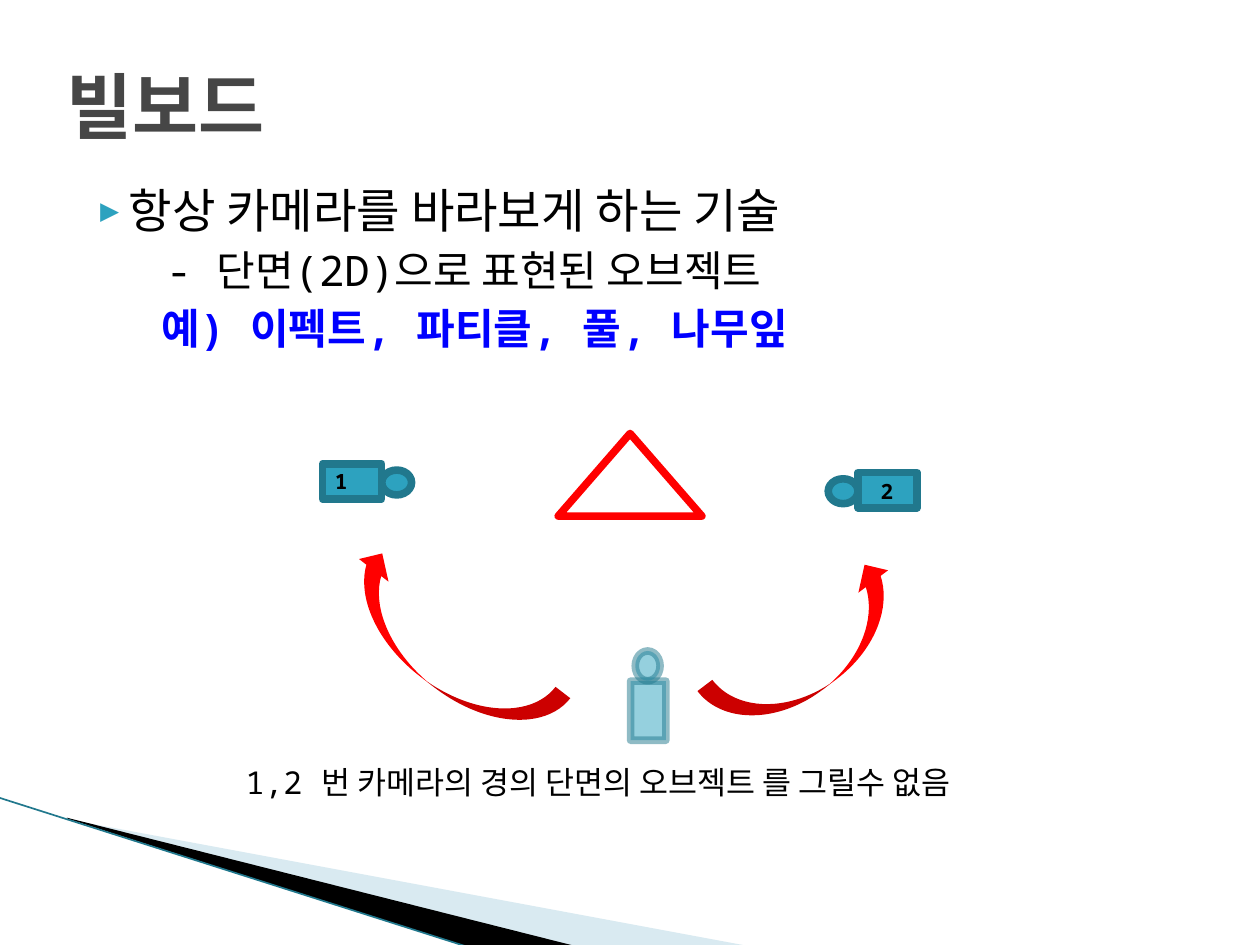
from lxml.etree import SubElement
from pptx import Presentation
from pptx.dml.color import RGBColor
from pptx.enum.shapes import MSO_CONNECTOR as Connector, MSO_SHAPE as Shape
from pptx.enum.text import MSO_ANCHOR as Anchor
from pptx.oxml.ns import qn
from pptx.util import Pt

FONT = "Noto Sans Mono"
TEAL, DARK_TEAL, RED, BLACK = "2DA2BF", "21788D", "FF0000", "000000"
OUTLINE = 4.33

SWOOSHES = [
    ([(39.6, 468.4), (428.4, 540.7), (328.3, 540.7), (39.6, 468)], "A0CBDC", 40),
    ([(38.2, 467.3), (329, 540.7), (267.8, 541.4), (38.9, 468)], BLACK, 100),
]
EDGE = (0, 456, 267, 541)

BODY = [
    ("항상 카메라를 바라보게 하는 기술", 27, BLACK, False, 28.8, -20.2),
    ("- 단면(2D)으로 표현된 오브젝트", 24, BLACK, False, 52, 0),
    ("예) 이펙트, 파티클, 풀, 나무잎", 24, "0000FF", True, 49, 0),
]
CAMERAS = [
    ((184.3, 265, 33.8, 20.2), (218.2, 268.6, 17, 14.2), 0, 100),
    ((353.5, 396, 33.8, 20.2), (361.6, 373.4, 17, 14.2), 270, 50),
    ((490.3, 270, 33.8, 20.2), (473.3, 273.6, 17, 14.2), 0, 100),
]
ARROWS = [
    ((442.1, 307.4, 42.5, 130.3), 232.9, False),
    ((233.7, 298.1, 42.5, 146.2), 127.6, True),
]
LABELS = [
    ("1", (184.3, 264.2, 22.3, 21.6), 12, True, False),
    ("2", (496.1, 270, 22.3, 21.6), 12, True, False),
    ("1,2 번 카메라의 경의 단면의 오브젝트 를 그릴수 없음", (133.2, 432.7, 481.7, 28.8), 18, False, True),
]


def color(value):
    return RGBColor.from_string(value)


def paint(fill, value, opacity=100):
    fill.solid()
    fill.fore_color.rgb = color(value)
    if opacity < 100:
        for element in fill._xPr.iter(qn("a:srgbClr")):
            SubElement(element, qn("a:alpha"), val=str(opacity * 1000))


def style(shape, fill=None, line=None, opacity=100):
    shape.shadow.inherit = False
    if fill:
        paint(shape.fill, fill, opacity)
    else:
        shape.fill.background()
    if line:
        shape.line.width = Pt(OUTLINE)
        paint(shape.line.fill, line, opacity)
    else:
        shape.line.fill.background()


def add_shape(slide, kind, box, rotation=0, **look):
    shape = slide.shapes.add_shape(kind, *map(Pt, box))
    shape.rotation = rotation
    style(shape, **look)
    return shape


def add_text(slide, box, wrap=True):
    frame = slide.shapes.add_textbox(*map(Pt, box)).text_frame
    frame.word_wrap = wrap
    return frame


def write(paragraph, text, size, value=BLACK, bold=False):
    paragraph.text = text
    font = paragraph.runs[0].font
    font.name, font.size, font.bold = FONT, Pt(size), bold
    font.color.rgb = color(value)


def add_bullet(paragraph):
    properties = paragraph._p.get_or_add_pPr()
    bullet_color = SubElement(properties, qn("a:buClr"))
    SubElement(bullet_color, qn("a:srgbClr"), val=TEAL)
    SubElement(properties, qn("a:buSzPct"), val="68000")
    SubElement(properties, qn("a:buFont"), typeface=FONT)
    SubElement(properties, qn("a:buChar"), char="▶")


def add_backdrop(slide):
    for points, fill, opacity in SWOOSHES:
        corners = [(Pt(x), Pt(y)) for x, y in points]
        builder = slide.shapes.build_freeform(*corners[0])
        builder.add_line_segments(corners[1:])
        style(builder.convert_to_shape(), fill, opacity=opacity)
    edge = slide.shapes.add_connector(Connector.STRAIGHT, *map(Pt, EDGE))
    edge.line.width = Pt(0.95)
    edge.line.color.rgb = color(DARK_TEAL)
    SubElement(edge._element.spPr, qn("a:effectLst"))


def add_body(slide):
    frame = add_text(slide, (36, 100, 648, 124.6))
    for index, (text, size, value, bold, margin, indent) in enumerate(BODY):
        paragraph = frame.add_paragraph() if index else frame.paragraphs[0]
        write(paragraph, text, size, value, bold)
        paragraph.space_before = Pt(4)
        properties = paragraph._p.get_or_add_pPr()
        properties.set("marL", str(Pt(margin)))
        properties.set("indent", str(Pt(indent)))
        if indent:
            add_bullet(paragraph)


def add_diagram(slide):
    add_shape(slide, Shape.ISOSCELES_TRIANGLE, (319, 247.7, 82.1, 47.2), line=RED)
    for body, lens, rotation, opacity in CAMERAS:
        for kind, box in ((Shape.RECTANGLE, body), (Shape.OVAL, lens)):
            add_shape(slide, kind, box, rotation, fill=TEAL, line=DARK_TEAL, opacity=opacity)
    for box, rotation, flipped in ARROWS:
        arrow = add_shape(slide, Shape.CURVED_RIGHT_ARROW, box, rotation, fill=RED)
        if flipped:
            arrow._element.spPr.xfrm.set("flipH", "1")
    for text, box, size, bold, wrap in LABELS:
        write(add_text(slide, box, wrap).paragraphs[0], text, size, bold=bold)


def main():
    """Build the billboard technique slide."""
    presentation = Presentation()
    presentation.slide_width, presentation.slide_height = Pt(720), Pt(540)
    slide = presentation.slides.add_slide(presentation.slide_layouts[6])
    add_backdrop(slide)
    add_body(slide)
    title = add_text(slide, (31, 15.1, 648, 90))
    title.vertical_anchor = Anchor.MIDDLE
    write(title.paragraphs[0], "빌보드", 41, "464646", True)
    add_diagram(slide)
    presentation.save("out.pptx")


if __name__ == "__main__":
    main()
